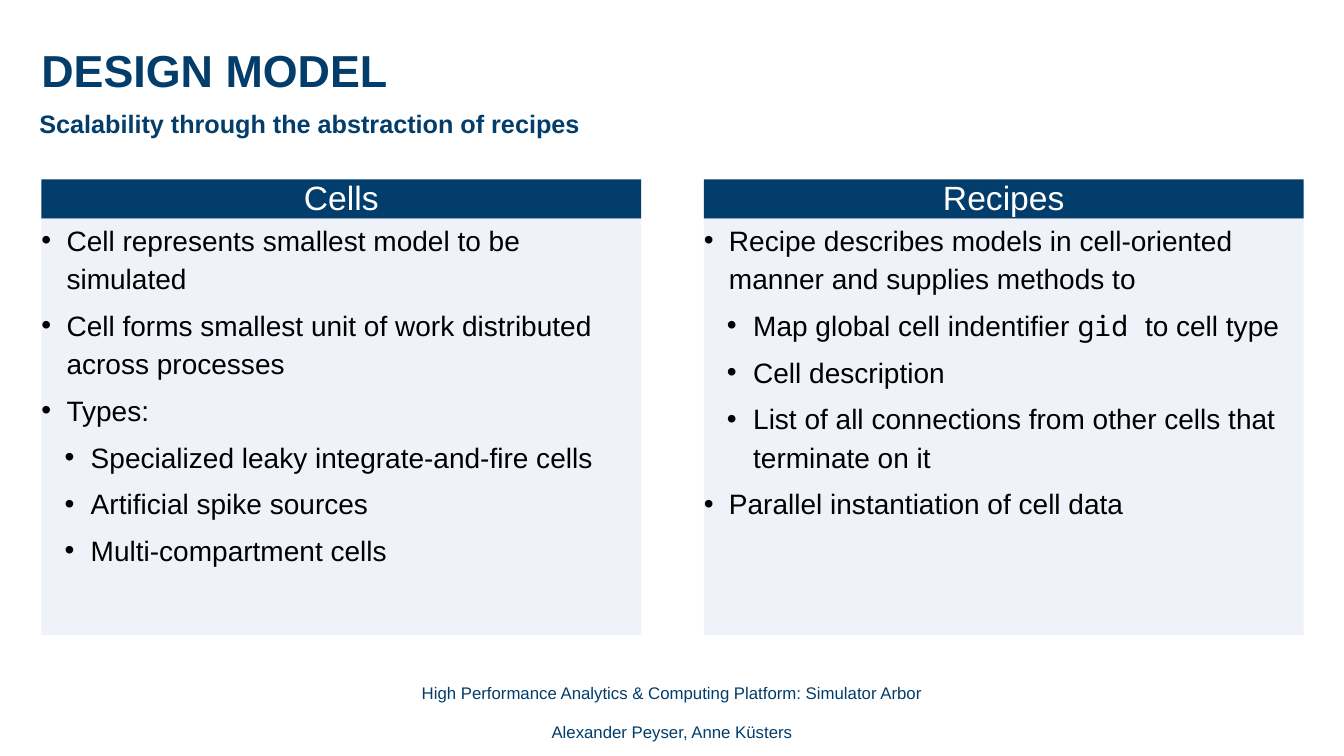
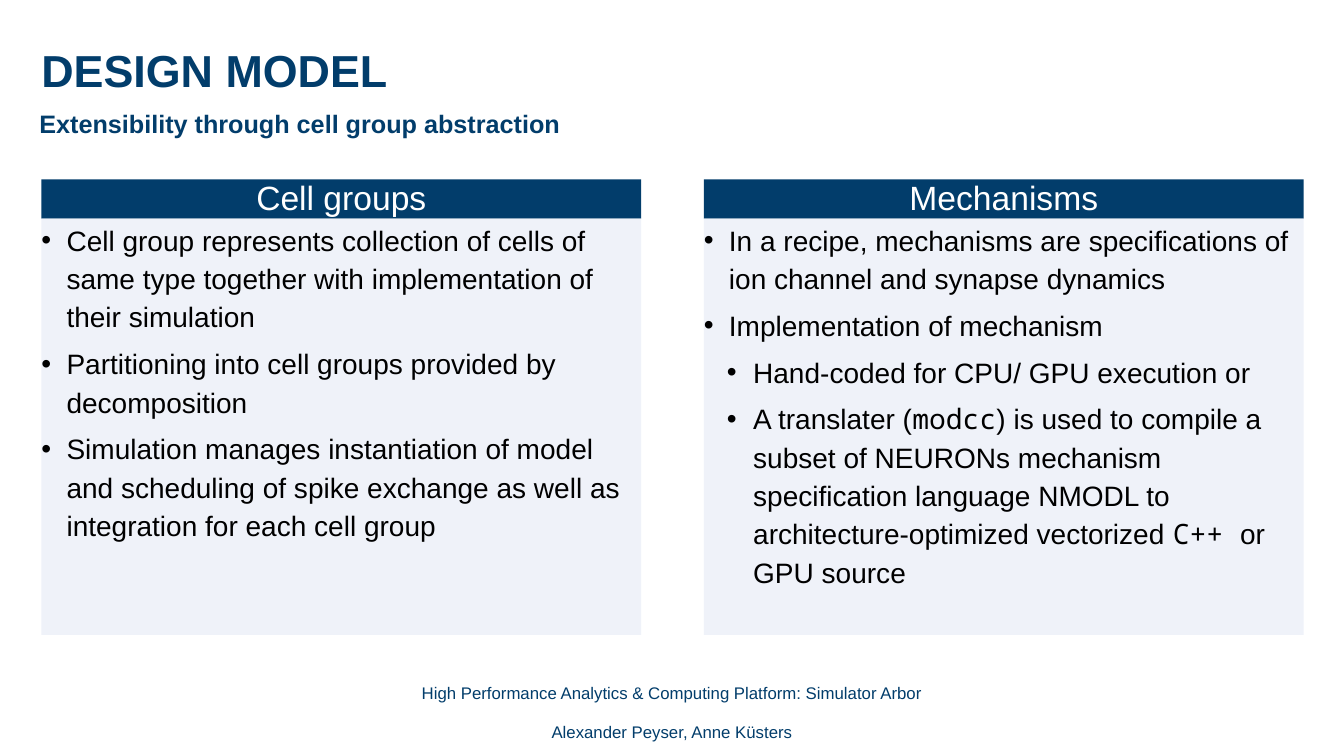
from lxml import etree
from pptx import Presentation
from pptx.dml.color import RGBColor
from pptx.enum.shapes import MSO_SHAPE as Preset
from pptx.enum.text import MSO_ANCHOR as Anchor, PP_ALIGN as Align
from pptx.oxml.ns import qn
from pptx.util import Inches, Pt

# Content: text between backticks is set in the code font
TITLE = "DESIGN MODEL"
FOOTER = ["High Performance Analytics & Computing Platform: Simulator Arbor",
          "Alexander Peyser, Anne Küsters"]
SLIDES = [
    ("Scalability through the abstraction of recipes", [
        ("Cells", [
            (0, "Cell represents smallest model to be simulated"),
            (0, "Cell forms smallest unit of work distributed across processes"),
            (0, "Types:"),
            (1, "Specialized leaky integrate-and-fire cells"),
            (1, "Artificial spike sources"),
            (1, "Multi-compartment cells"),
        ]),
        ("Recipes", [
            (0, "Recipe describes models in cell-oriented manner and supplies methods to"),
            (1, "Map global cell indentifier `gid `to cell type"),
            (1, "Cell description"),
            (1, "List of all connections from other cells that terminate on it"),
            (0, "Parallel instantiation of cell data"),
        ]),
    ]),
    ("Extensibility through cell group abstraction", [
        ("Cell groups", [
            (0, "Cell group represents collection of cells of same type together "
                "with implementation of their simulation"),
            (0, "Partitioning into cell groups provided by decomposition"),
            (0, "Simulation manages instantiation of model and scheduling of spike "
                "exchange as well as integration for each cell group"),
        ]),
        ("Mechanisms", [
            (0, "In a recipe, mechanisms are specifications of ion channel and "
                "synapse dynamics"),
            (0, "Implementation of mechanism"),
            (1, "Hand-coded for CPU/ GPU execution or"),
            (1, "A translater (`modcc`) is used to compile a subset of NEURONs "
                "mechanism specification language NMODL to architecture-optimized "
                "vectorized `C++ `or GPU source"),
        ]),
    ]),
]

# Shared style
NAVY, PALE, BLACK, WHITE = "023D6B", "EFF2F9", "000000", "FFFFFF"
TEXT_FONT, CODE_FONT = "Arial", "Noto Sans Mono"
LINE_SPACING = 1.14
BULLET_INDENTS = [(0.25, -0.25), (0.49, -0.26)]  # left margin, first line

# Shared grid
PAGE_WIDTH, PAGE_HEIGHT = 13.33, 7.5
LEFT, FULL_WIDTH = 0.41, 12.52
COLUMN_WIDTH = 5.95
COLUMN_STEP = FULL_WIDTH - COLUMN_WIDTH
HEADER_TOP, HEADER_HEIGHT, PANEL_HEIGHT = 1.78, 0.39, 4.13


def color(value):
    return RGBColor.from_string(value)


def add_box(page, left, top, width, height, fill=None):
    place = [Inches(length) for length in (left, top, width, height)]
    if fill:
        box = page.shapes.add_shape(Preset.RECTANGLE, *place)
        box.shadow.inherit = False
        box.fill.solid()
        box.fill.fore_color.rgb = color(fill)
        box.line.fill.background()
    else:
        box = page.shapes.add_textbox(*place)
    frame = box.text_frame
    frame.word_wrap = True
    frame.vertical_anchor = Anchor.TOP
    frame.margin_left = frame.margin_right = 0
    frame.margin_top = frame.margin_bottom = 0
    return frame


def add_bullet(para, level):
    para.level = level
    margin, indent = BULLET_INDENTS[level]
    props = para._p.get_or_add_pPr()
    props.set("marL", str(Inches(margin)))
    props.set("indent", str(Inches(indent)))
    etree.SubElement(props, qn("a:buFont")).set("typeface", TEXT_FONT)
    etree.SubElement(props, qn("a:buChar")).set("char", "•")


def write(frame, lines, size, ink, bold=False, align=Align.LEFT,
          spacing=LINE_SPACING, after=0, bullets=False):
    """Write (level, text) lines, one paragraph each."""
    for number, (level, text) in enumerate(lines):
        para = frame.add_paragraph() if number else frame.paragraphs[0]
        if bullets:
            add_bullet(para, level)
        para.alignment = align
        para.line_spacing = spacing
        para.space_before, para.space_after = Pt(0), Pt(after)
        for index, part in enumerate(text.split("`")):
            span = para.add_run()
            span.text = part
            span.font.name = CODE_FONT if index % 2 else TEXT_FONT
            span.font.size = Pt(size)
            span.font.bold = bold
            span.font.color.rgb = color(ink)


def add_column(page, left, heading, points):
    header = add_box(page, left, HEADER_TOP, COLUMN_WIDTH, HEADER_HEIGHT, NAVY)
    header.vertical_anchor = Anchor.MIDDLE
    write(header, [(0, heading)], 24, WHITE, align=Align.CENTER, spacing=0.95)
    panel = add_box(page, left, HEADER_TOP + HEADER_HEIGHT,
                    COLUMN_WIDTH, PANEL_HEIGHT, PALE)
    write(panel, points, 20, BLACK, after=6, bullets=True)


def add_page(deck, subtitle, columns):
    page = deck.slides.add_slide(deck.slide_layouts[6])
    # Title and subtitle
    write(add_box(page, LEFT, 0.35, FULL_WIDTH, 0.68), [(0, TITLE)], 32, NAVY, bold=True)
    write(add_box(page, 0.39, 1.03, FULL_WIDTH, 0.56), [(0, subtitle)], 18, NAVY, bold=True)
    # Columns
    for number, (heading, points) in enumerate(columns):
        add_column(page, LEFT + number * COLUMN_STEP, heading, points)
    # Footer
    write(add_box(page, 4.02, 6.77, 5.29, 0.6), [(0, line) for line in FOOTER],
          12, NAVY, align=Align.CENTER, spacing=1.0, after=14)


def main():
    deck = Presentation()
    deck.slide_width, deck.slide_height = Inches(PAGE_WIDTH), Inches(PAGE_HEIGHT)
    for subtitle, columns in SLIDES:
        add_page(deck, subtitle, columns)
    deck.save("out.pptx")


if __name__ == "__main__":
    main()
